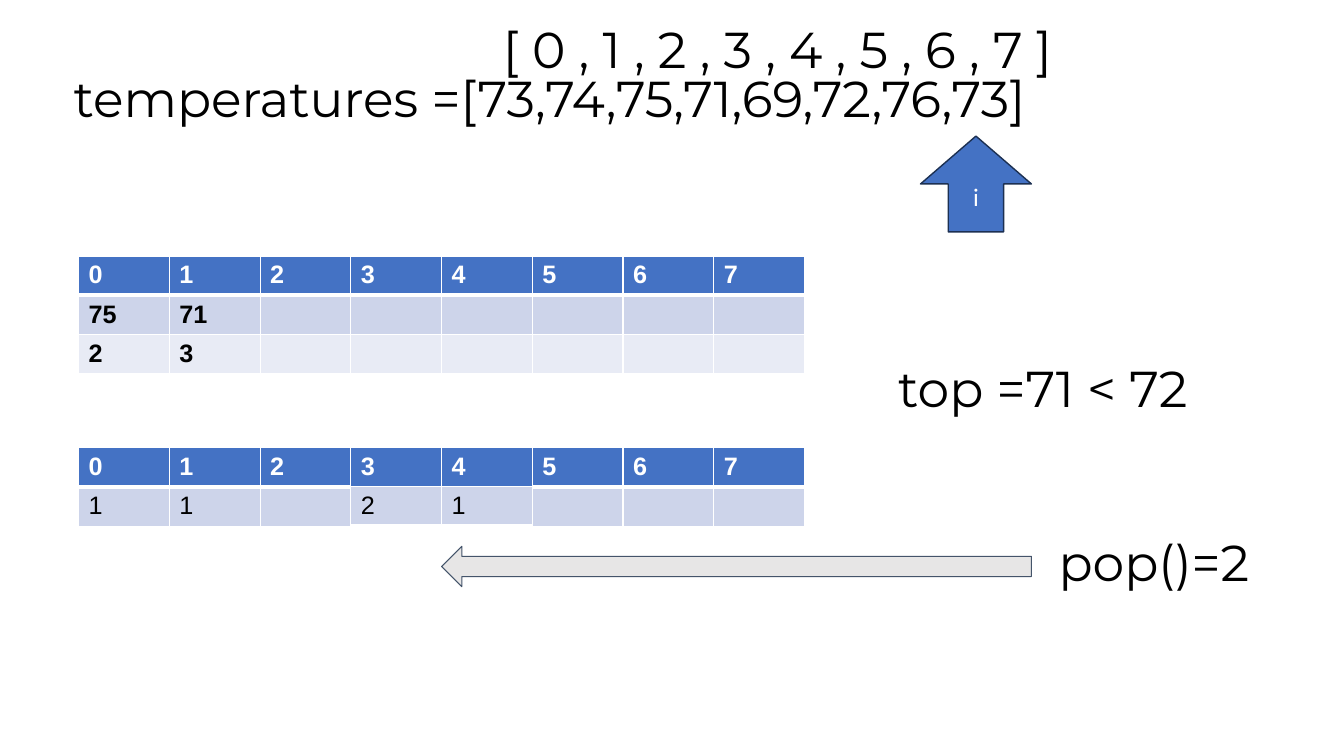
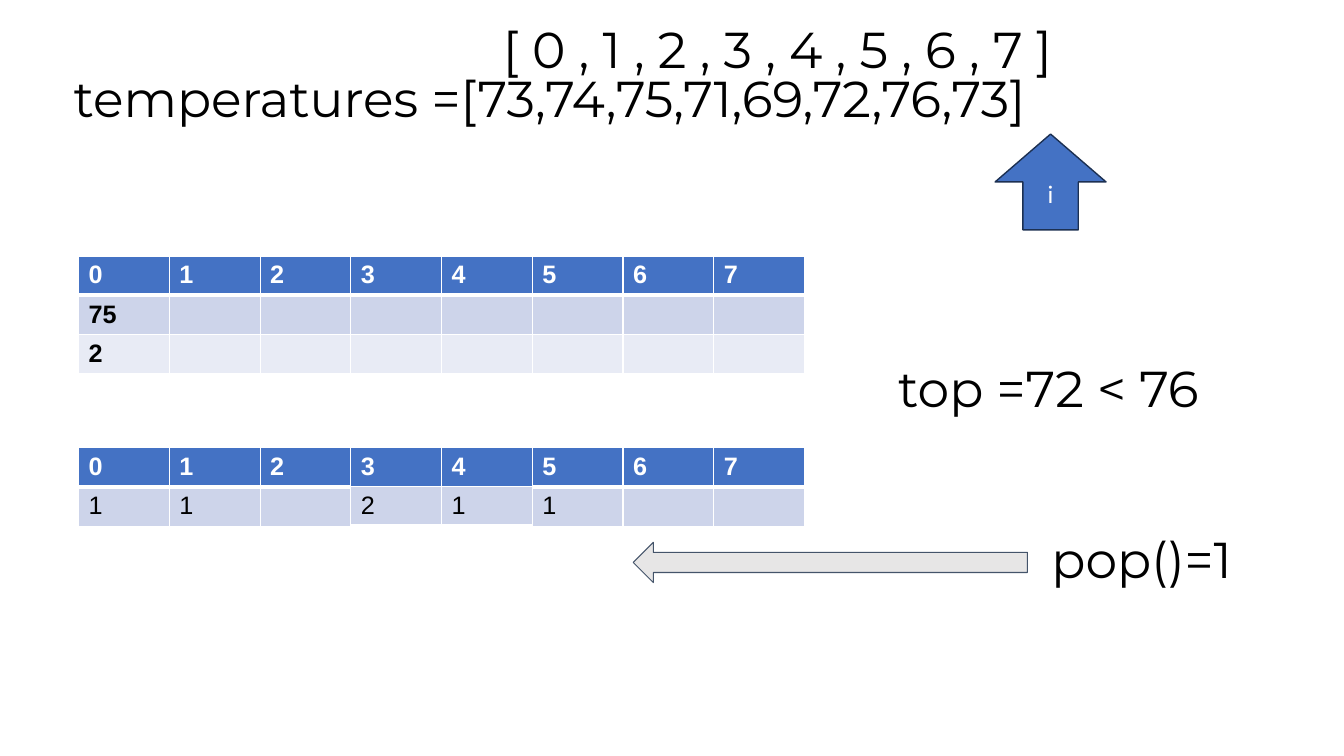
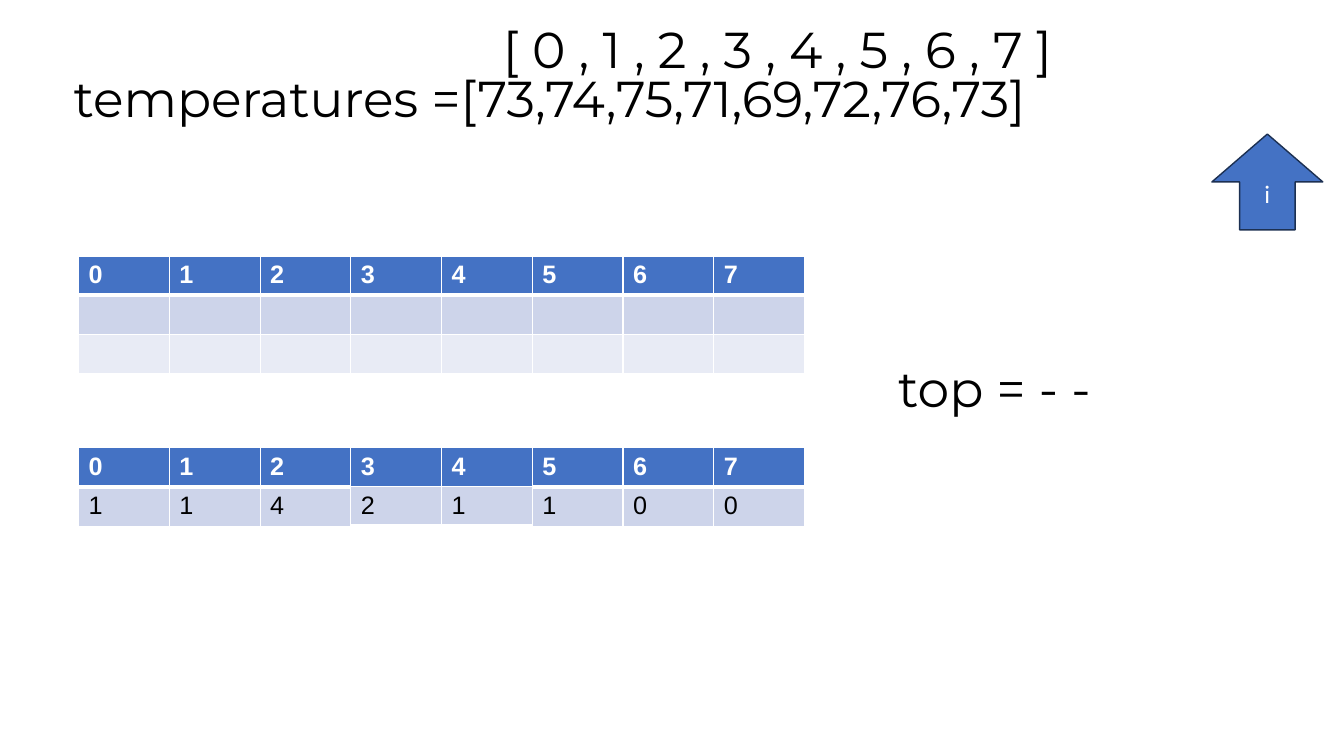
from pptx import Presentation
from pptx.dml.color import RGBColor as RGB
from pptx.enum.shapes import MSO_SHAPE as Shape
from pptx.enum.text import MSO_ANCHOR as Anchor, MSO_AUTO_SIZE as Auto, PP_ALIGN as Align
from pptx.oxml import parse_xml
from pptx.oxml.ns import nsdecls
from pptx.util import Inches, Pt

HUES = {"black": "000000", "white": "FFFFFF", "blue": "4472C4", "navy": "1C3052",
        "band": "CDD4EA", "pale": "E8EBF5", "grey": "E7E6E6", "slate": "44546A"}
HUE = {name: RGB.from_string(code) for name, code in HUES.items()}
COUNT, WIDE, HIGH = 8, 0.9, 0.39
HEAD = [str(n) for n in range(COUNT)]

# Each step: stack rows, results, pointer place, top note, pop arrow and pop note
STEPS = [
    {"stack": [["75", "71"], ["2", "3"]], "days": ["1", "1", "", "2", "1"],
     "mark": (9.13, 1.35), "top": "top =71 < 72",
     "bar": (4.38, 5.42, 5.85), "pop": ("pop()=2", 10.4, 5.24)},
    {"stack": [["75"], ["2"]], "days": ["1", "1", "", "2", "1", "1"],
     "mark": (9.87, 1.33), "top": "top =72 < 76",
     "bar": (6.28, 5.38, 3.91), "pop": ("pop()=1", 10.33, 5.21)},
    {"stack": [[], []], "days": ["1", "1", "4", "2", "1", "1", "0", "0"],
     "mark": (12.02, 1.33), "top": "top = - -"},
]


def add_grid(slide, top, rows, bold, low=()):
    """Draw a table; the columns in low have their thick line one row lower."""
    table = slide.shapes.add_table(len(rows), COUNT, Inches(0.78), Inches(top),
                                   Inches(WIDE * COUNT), Inches(HIGH * len(rows))).table
    for y, row in enumerate(rows):
        for x in range(COUNT):
            cell = table.cell(y, x)
            thick = 1 if x in low else 0
            for side in "LRTB":
                width = Pt(3 if side == "B" and y == thick else 1)
                cell._tc.get_or_add_tcPr().append(parse_xml(
                    f'<a:ln{side} {nsdecls("a")} w="{width}"><a:solidFill>'
                    f'<a:srgbClr val="{HUES["white"]}"/></a:solidFill></a:ln{side}>'))
            cell.fill.solid()
            cell.fill.fore_color.rgb = HUE[("blue", "band", "pale")[y]]
            cell.text = row[x] if x < len(row) else ""
            font = cell.text_frame.paragraphs[0].font
            font.name, font.size = "Arial", Pt(18)
            font.bold = y == 0 or bold
            font.color.rgb = HUE["black" if y else "white"]


def set_text(box, text, inset=0.1, fit=Auto.NONE):
    """Write one large line into a text box or title."""
    frame = box.text_frame
    frame.text = text
    frame.word_wrap, frame.auto_size = True, fit
    frame.margin_left = frame.margin_right = Inches(0.1)
    frame.margin_top = frame.margin_bottom = Inches(inset)
    line = frame.paragraphs[0]
    line.alignment, line.line_spacing = Align.LEFT, 0.9
    line.font.name, line.font.size = "Montserrat", Pt(36)
    line.font.color.rgb = HUE["black"]


deck = Presentation()
deck.slide_width, deck.slide_height = Inches(13.33), Inches(7.5)

for step in STEPS:
    slide = deck.slides.add_slide(deck.slide_layouts[5])
    shapes = slide.shapes

    # Title
    title = shapes.title
    title.left, title.top = Inches(0.63), Inches(0.28)
    title.width, title.height = Inches(11.68), Inches(1.45)
    set_text(title, "temperatures =[73,74,75,71,69,72,76,73]", inset=0.05)
    title.text_frame.vertical_anchor = Anchor.MIDDLE

    # Stack and result tables
    add_grid(slide, 2.54, [HEAD] + step["stack"], bold=True)
    add_grid(slide, 4.44, [HEAD, step["days"]], bold=False, low=(3, 4))

    # Pointer to the current index
    left, top = step["mark"]
    mark = shapes.add_shape(Shape.UP_ARROW, Inches(left), Inches(top),
                            Inches(1.1), Inches(0.95))
    looks = [(mark, "blue", "navy", 1)]
    mark.text_frame.text = "i"
    mark.text_frame.vertical_anchor = Anchor.MIDDLE
    label = mark.text_frame.paragraphs[0]
    label.alignment = Align.CENTER
    label.font.name, label.font.size = "Calibri", Pt(18)
    label.font.color.rgb = HUE["white"]

    # Arrow from the popped index to its result
    if "bar" in step:
        left, top, width = step["bar"]
        bar = shapes.add_shape(Shape.LEFT_ARROW, Inches(left), Inches(top),
                               Inches(width), Inches(0.4))
        looks.append((bar, "grey", "slate", 0.75))
    for shape, fill, edge, weight in looks:
        shape.shadow.inherit = False
        shape.fill.solid()
        shape.fill.fore_color.rgb = HUE[fill]
        shape.line.color.rgb = HUE[edge]
        shape.line.width = Pt(weight)

    # Notes and index row
    notes = [(step["top"], 8.81, 3.51, 4.24, 0.75, Auto.SHAPE_TO_FIT_TEXT),
             ("[ 0 , 1 , 2 , 3 , 4 , 5 , 6 , 7 ]", 4.89, 0.15, 8.23, 0.57, Auto.NONE)]
    if "pop" in step:
        notes.append((*step["pop"], 3.28, 0.75, Auto.SHAPE_TO_FIT_TEXT))
    for text, left, top, width, height, fit in notes:
        box = shapes.add_textbox(Inches(left), Inches(top), Inches(width), Inches(height))
        set_text(box, text, fit=fit)

deck.save("out.pptx")
